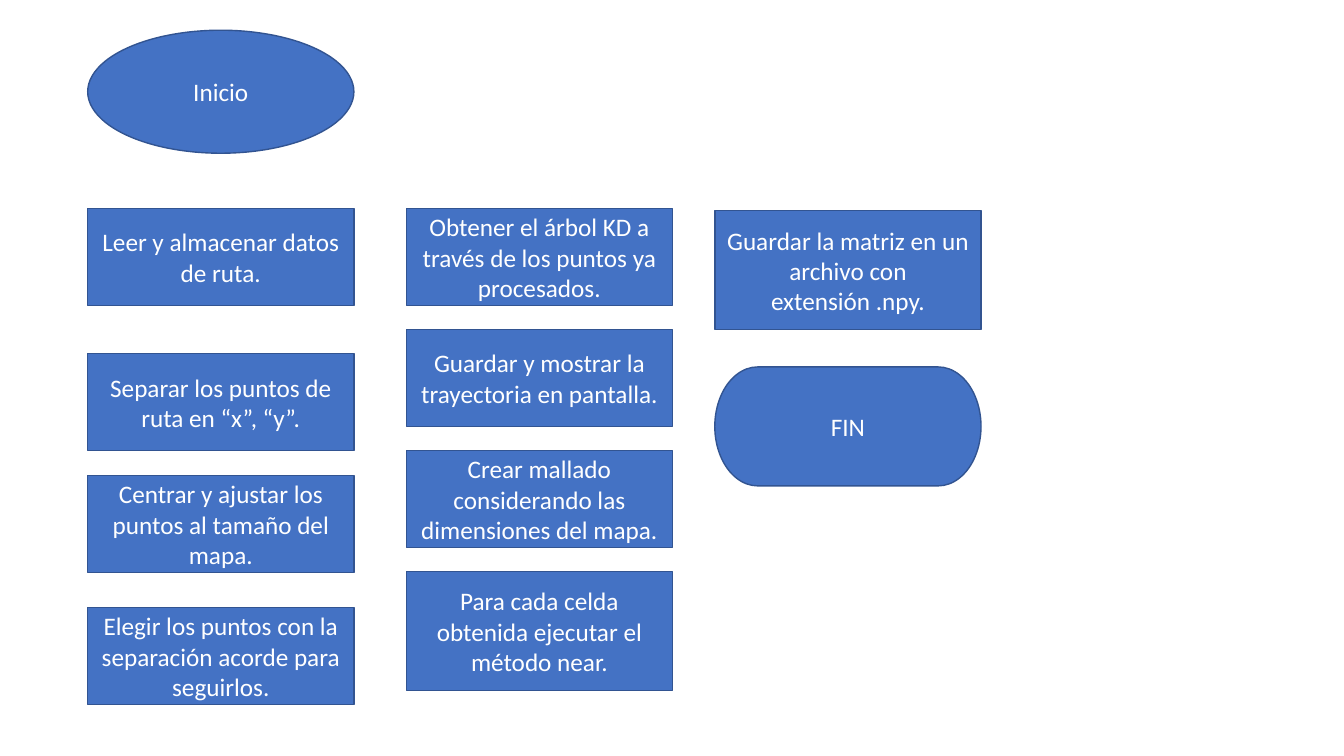
from dataclasses import dataclass

from pptx import Presentation
from pptx.dml.color import RGBColor
from pptx.enum.shapes import MSO_SHAPE
from pptx.enum.text import MSO_ANCHOR, PP_ALIGN
from pptx.util import Inches, Pt


@dataclass(frozen=True)
class Theme:
    fill: RGBColor = RGBColor(0x44, 0x72, 0xC4)
    outline: RGBColor = RGBColor(0x32, 0x54, 0x91)
    text: RGBColor = RGBColor(0xFF, 0xFF, 0xFF)
    font: str = "Calibri"
    size: Pt = Pt(18)
    line_width: Pt = Pt(1)


theme = Theme()

presentation = Presentation()
presentation.slide_width = Inches(13.33)
presentation.slide_height = Inches(7.5)
slide = presentation.slides.add_slide(presentation.slide_layouts[6])

# Flowchart steps by column: left edge, then (shape, top, height, text)
STEP_WIDTH = 2.64
LOW, TALL = 0.96, 1.18
STEP = MSO_SHAPE.RECTANGLE
columns = [
    (0.87, [
        (MSO_SHAPE.OVAL, 0.3, 1.22, "Inicio"),
        (STEP, 2.07, LOW, "Leer y almacenar datos de ruta."),
        (STEP, 3.51, LOW, "Separar los puntos de ruta en “x”, “y”."),
        (STEP, 4.72, LOW, "Centrar y ajustar los puntos al tamaño del mapa."),
        (STEP, 6.03, LOW, "Elegir los puntos con la separación acorde para seguirlos."),
    ]),
    (4.03, [
        (STEP, 2.07, LOW, "Obtener el árbol KD a través de los puntos ya procesados."),
        (STEP, 3.27, LOW, "Guardar y mostrar la trayectoria en pantalla."),
        (STEP, 4.47, LOW, "Crear mallado considerando las dimensiones del mapa."),
        (STEP, 5.67, TALL, "Para cada celda obtenida ejecutar el método near."),
    ]),
    (7.09, [
        (STEP, 2.09, TALL, "Guardar la matriz en un archivo con extensión .npy."),
        (MSO_SHAPE.FLOWCHART_TERMINATOR, 3.64, TALL, "FIN"),
    ]),
]

# Draw every step in the same style
for left, steps in columns:
    for kind, top, height, text in steps:
        shape = slide.shapes.add_shape(
            kind, Inches(left), Inches(top), Inches(STEP_WIDTH), Inches(height))
        shape.shadow.inherit = False
        shape.fill.solid()
        shape.fill.fore_color.rgb = theme.fill
        shape.line.color.rgb = theme.outline
        shape.line.width = theme.line_width

        text_frame = shape.text_frame
        text_frame.text = text
        text_frame.word_wrap = True
        text_frame.vertical_anchor = MSO_ANCHOR.MIDDLE
        paragraph = text_frame.paragraphs[0]
        paragraph.alignment = PP_ALIGN.CENTER
        font = paragraph.runs[0].font
        font.name = theme.font
        font.size = theme.size
        font.color.rgb = theme.text

presentation.save("out.pptx")
